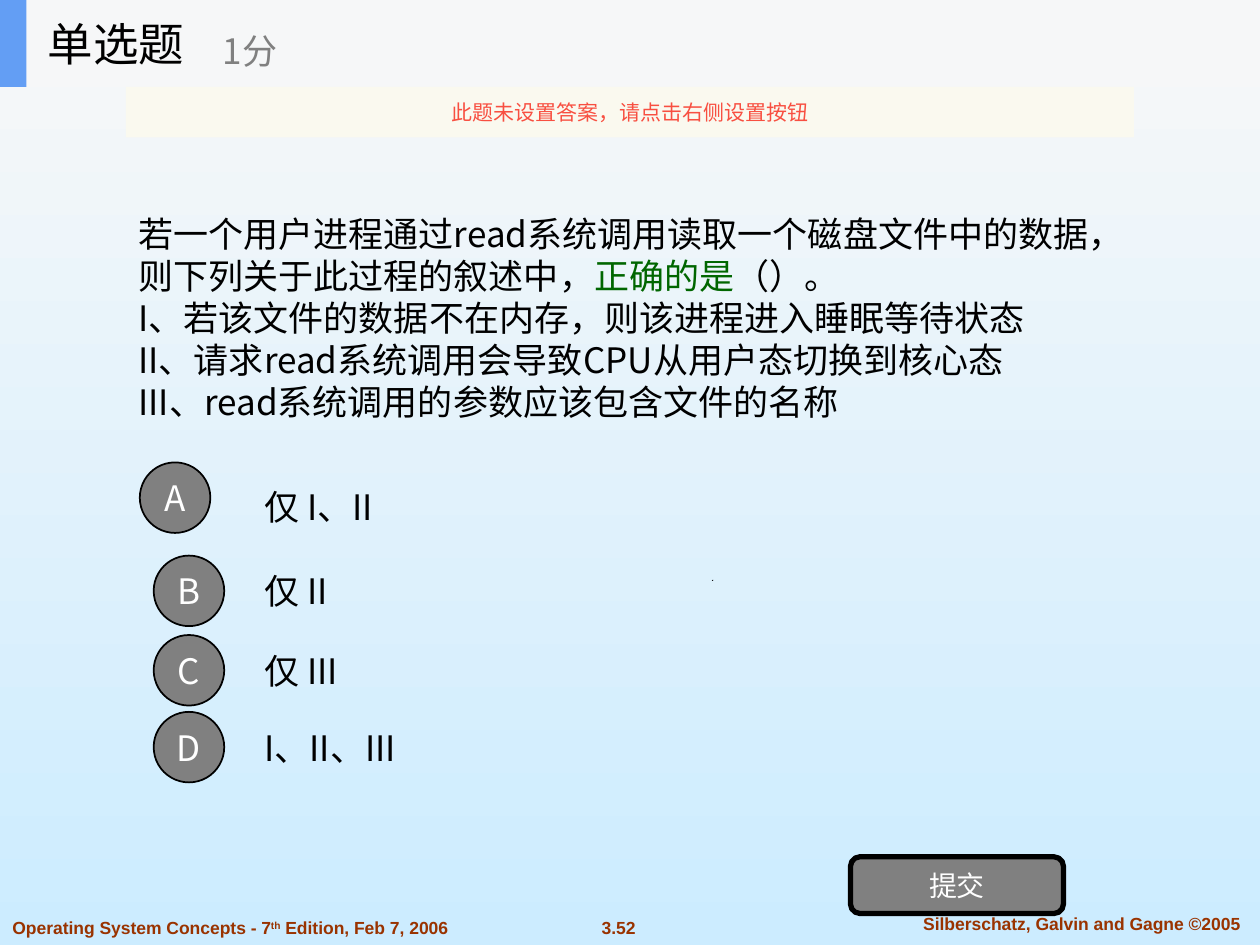
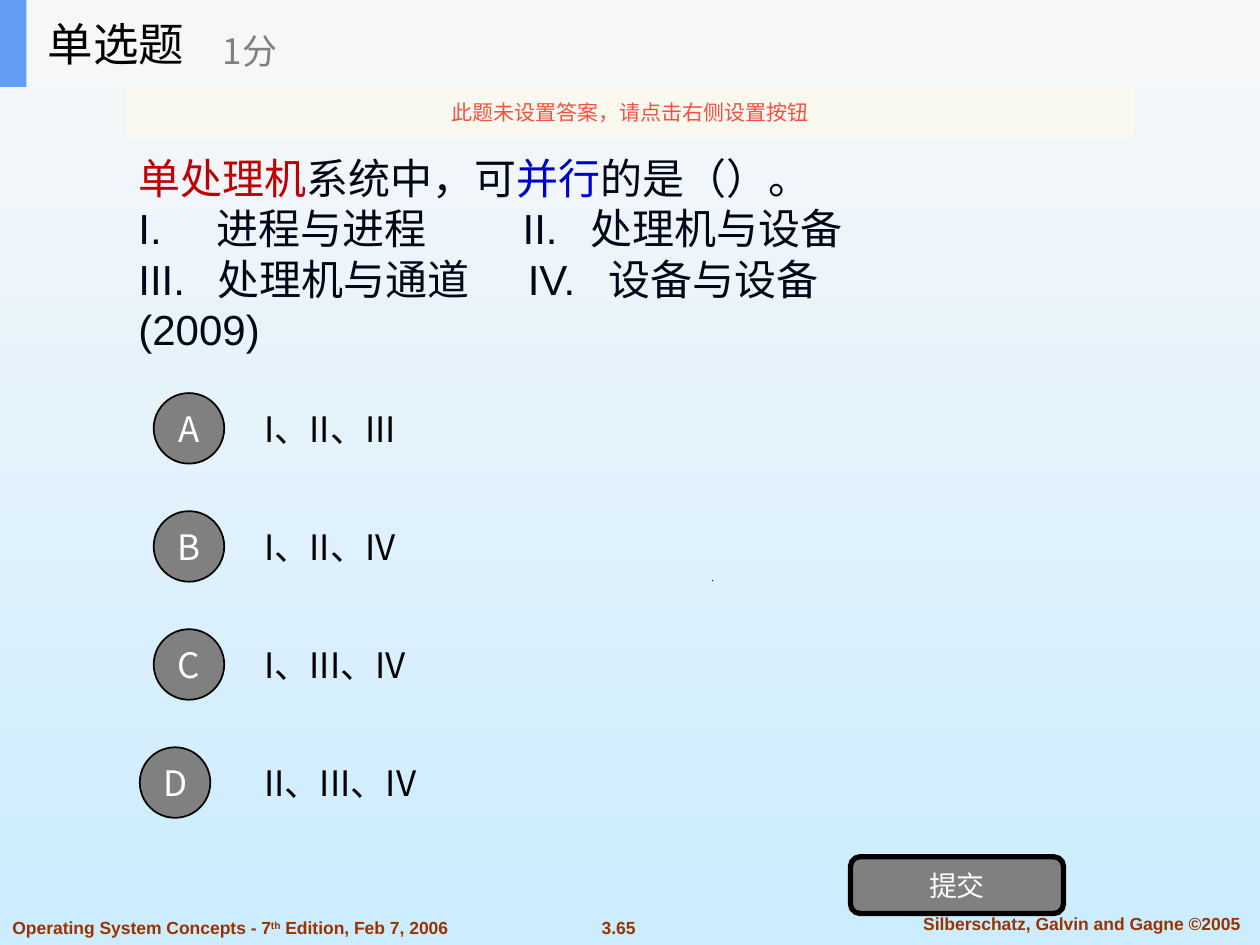
from dataclasses import dataclass

from lxml import etree
from pptx import Presentation
from pptx import util as u
from pptx.dml.color import RGBColor
from pptx.enum import shapes, text
from pptx.oxml.ns import qn


@dataclass(frozen=True)
class Theme:
    cjk: str = "Noto Sans CJK SC"
    latin: str = "Arial"
    sky_top: str = "F8F8F8"
    sky_bottom: str = "CCECFF"
    black: str = "000000"
    white: str = "FFFFFF"
    grey: str = "808080"
    navy: str = "000818"
    green: str = "006600"
    red: str = "C00000"
    blue: str = "0000CC"
    footer: str = "993300"
    header: str = "F6F7F8"
    accent: str = "639EF4"
    notice: str = "FBFAEF"
    warning: str = "F84F41"
    title_pt: int = 26
    question_pt: int = 24
    body_pt: int = 20
    button_pt: int = 16
    notice_pt: int = 12
    footer_pt: int = 10


T = Theme()
MIDDLE, TOP = text.MSO_ANCHOR.MIDDLE, text.MSO_ANCHOR.TOP
LEFT, CENTER = text.PP_ALIGN.LEFT, text.PP_ALIGN.CENTER
KIND = shapes.MSO_SHAPE


def write(sp, paras, size, color=T.black, font=T.cjk, align=LEFT, anchor=MIDDLE, bold=False):
    """Fill sp; a paragraph is (runs, tab stops), a run is (text, colour or None, baseline)."""
    tf = sp.text_frame
    tf.word_wrap = True
    tf.vertical_anchor = anchor
    for i, (runs, tabs) in enumerate(paras):
        p = tf.paragraphs[0] if i == 0 else tf.add_paragraph()
        p.alignment = align
        if tabs:
            tab_list = etree.SubElement(p._p.get_or_add_pPr(), qn("a:tabLst"))
            for pos in tabs:
                etree.SubElement(tab_list, qn("a:tab"), pos=str(u.Inches(pos)), algn="l")
        for words, run_color, baseline in runs:
            r = p.add_run()
            r.text = words
            r.font.size = u.Pt(size)
            r.font.bold = bold
            r.font.name = font
            r.font.color.rgb = RGBColor.from_string(run_color or color)
            rpr = r.font._element
            etree.SubElement(rpr, qn("a:ea"), typeface=T.cjk)
            if baseline:
                rpr.set("baseline", str(baseline * 1000))


def shape(parent, kind, at, fill=None, line=0):
    """Add a preset shape, or a text box when kind is None."""
    at = [u.Inches(v) for v in at]
    if kind is None:
        return parent.add_textbox(*at)
    sp = parent.add_shape(kind, *at)
    sp.shadow.inherit = False
    sp.fill.solid()
    sp.fill.fore_color.rgb = RGBColor.from_string(fill)
    if line:
        sp.line.color.rgb = RGBColor.from_string(T.black)
        sp.line.width = u.Pt(line)
    else:
        sp.line.fill.background()
    return sp


# Question: text box, type, paragraphs, then options (text, text top, text width, circle left, circle top)
NUM_Y = [3.05 + 0.937 * i for i in range(4)]
SLIDES = [
    dict(
        number="3.52", at=(1, 1.47, 8, 2.1), size=T.body_pt, color=T.black, font=T.cjk,
        question=[
            ([("若一个用户进程通过read系统调用读取一个磁盘文件中的数据，则下列关于此过程的叙述中，", None, 0),
              ("正确的是", T.green, 0), ("（）。", None, 0)], ()),
            ([("I、若该文件的数据不在内存，则该进程进入睡眠等待状态", None, 0)], ()),
            ([("II、请求read系统调用会导致CPU从用户态切换到核心态", None, 0)], ()),
            ([("III、read系统调用的参数应该包含文件的名称", None, 0)], ()),
        ],
        options=[
            ("仅 I、II", 3.67, 7, 1.11, 3.67),
            ("仅 II", 4.34, 7, 1.22, 4.41),
            ("仅 III", 4.97, 7, 1.22, 5.04),
            ("I、II、III", 5.58, 7, 1.22, 5.65),
        ],
    ),
    dict(
        number="3.65", at=(1, 1.03, 8.28, 1.96), size=T.question_pt, color=T.navy, font=T.latin,
        question=[
            ([("单处理机", T.red, 0), ("系统中，可", None, 0),
              ("并行", T.blue, 0), ("的是（）。", None, 0)], ()),
            ([("I.\t进程与进程\tII.\t处理机与设备", None, 0)], (0.62, 3.05, 3.59)),
            ([("III.\t处理机与通道\tIV.\t设备与设备", None, 0)], (0.63, 3.09, 3.73)),
            ([("(2009)", None, 0)], ()),
        ],
        options=[
            (words, y, w, x, y + 0.07)
            for words, y, w, x in zip(
                ("I、II、III", "I、II、IV", "I、III、IV", "II、III、IV"),
                NUM_Y, (1.76, 1.53, 1.76, 1.53), (1.22, 1.22, 1.22, 1.11))
        ],
    ),
]

prs = Presentation()
prs.slide_width, prs.slide_height = u.Inches(10), u.Inches(7.5)

# Shared background
bg = prs.slide_master.background.fill
bg.gradient()
bg.gradient_angle = 270
for stop, pos, color in zip(bg.gradient_stops, (0, 1), (T.sky_top, T.sky_bottom)):
    stop.position = pos
    stop.color.rgb = RGBColor.from_string(color)

for q in SLIDES:
    s = prs.slides.add_slide(prs.slide_layouts[6])

    # Footer
    edition = [("Operating System Concepts - 7", None, 0), ("th", None, 30),
               (" Edition, Feb 7, 2006", None, 0)]
    for at, runs, align in (
        ((4.59, 7.23, 0.64, 0.27), [(q["number"], None, 0)], CENTER),
        ((7.1, 7.2, 2.97, 0.27), [("Silberschatz, Galvin and Gagne ©2005", None, 0)], CENTER),
        ((0, 7.23, 4.09, 0.27), edition, LEFT),
    ):
        write(shape(s.shapes, None, at), [(runs, ())], T.footer_pt, T.footer, T.latin,
              align, TOP, bold=True)

    # Small speck, drawn in hundredths of an inch
    fb = s.shapes.build_freeform(565, 461, scale=u.Inches(0.01))
    fb.add_line_segments([(565.5, 461), (566, 460)], close=True)
    speck = fb.convert_to_shape()
    speck.shadow.inherit = False
    speck.fill.solid()
    speck.fill.fore_color.rgb = RGBColor.from_string(T.black)
    speck.line.fill.background()

    # Question
    write(shape(s.shapes, None, q["at"]), q["question"], q["size"], q["color"], q["font"])

    # Options with lettered circles
    for letter, (words, y, w, circle_x, circle_y) in zip("ABCD", q["options"]):
        write(shape(s.shapes, None, (2, y, w, 0.7)), [([(words, None, 0)], ())], T.body_pt)
        circle = shape(s.shapes, KIND.OVAL, (circle_x, circle_y, 0.56, 0.56), T.grey, 1)
        tf = circle.text_frame
        tf.margin_left = tf.margin_right = tf.margin_top = tf.margin_bottom = 0
        write(circle, [([(letter, None, 0)], ())], T.body_pt, T.white, align=CENTER)

    # Submit button
    button = shape(s.shapes, KIND.ROUNDED_RECTANGLE, (6.75, 6.8, 1.69, 0.45), T.grey, 3)
    write(button, [([("提交", None, 0)], ())], T.button_pt, T.white, align=CENTER)

    # Header band
    band = s.shapes.add_group_shape().shapes
    shape(band, KIND.RECTANGLE, (0, 0, 10, 0.69), T.header)
    shape(band, KIND.RECTANGLE, (0, 0, 0.21, 0.69), T.accent)
    for at, words, size, color in (
        ((0.28, 0, 2.08, 0.69), "单选题", T.title_pt, T.black),
        ((1.67, 0.12, 2.5, 0.56), "1分", T.body_pt, T.grey),
    ):
        write(shape(band, None, at), [([(words, None, 0)], ())], size, color)

    # Notice strip
    notice = shape(s.shapes, KIND.RECTANGLE, (1, 0.69, 8, 0.4), T.notice)
    fill_color = notice.fill._xPr.find(qn("a:solidFill"))[0]
    etree.SubElement(fill_color, qn("a:alpha"), val="90000")
    write(notice, [([("此题未设置答案，请点击右侧设置按钮", None, 0)], ())],
          T.notice_pt, T.warning, align=CENTER)

prs.save("out.pptx")
